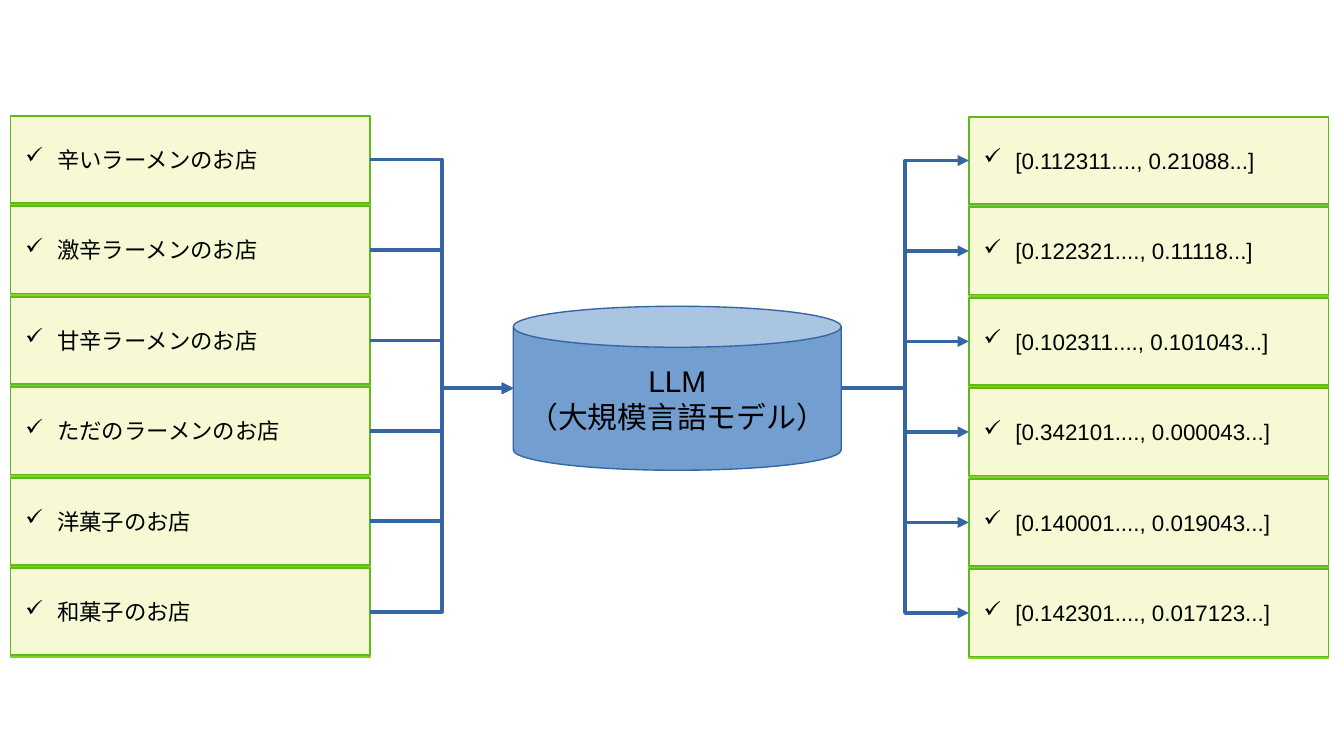
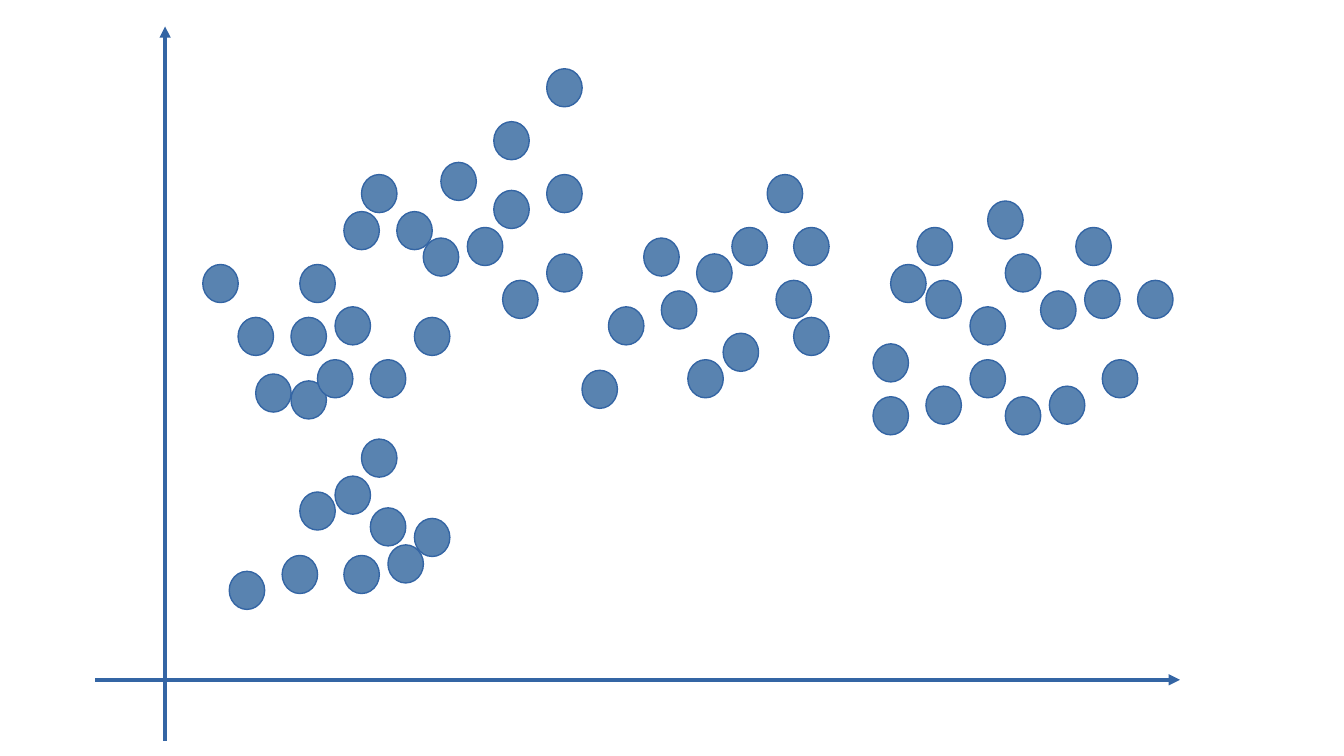
"""Build two slides: sentences embedded by an LLM, and the vectors as a scatter of points."""
from lxml import etree
from pptx import Presentation
from pptx.dml.color import RGBColor
from pptx.enum.shapes import MSO_CONNECTOR, MSO_SHAPE
from pptx.enum.text import MSO_ANCHOR, PP_ALIGN
from pptx.oxml.ns import qn
from pptx.util import Cm, Pt

RECT, CAN, OVAL = MSO_SHAPE.RECTANGLE, MSO_SHAPE.CAN, MSO_SHAPE.OVAL
ELBOW, STRAIGHT = MSO_CONNECTOR.ELBOW, MSO_CONNECTOR.STRAIGHT
MIDDLE = MSO_ANCHOR.MIDDLE
LEFT, CENTER = PP_ALIGN.LEFT, PP_ALIGN.CENTER

FONT = "Arial"
BLACK, BLUE_LINE, MODEL_BLUE, POINT_BLUE = "000000", "3465A4", "729FCF", "5983B0"
CARD_FILL, CARD_LINE, CARD_SHADOW = "F6F9D4", "5EB91E", "81D41A"
HAIRLINE = 0

SENTENCES = [
    "辛いラーメンのお店",
    "激辛ラーメンのお店",
    "甘辛ラーメンのお店",
    "ただのラーメンのお店",
    "洋菓子のお店",
    "和菓子のお店",
]
VECTORS = [
    "[0.112311...., 0.21088...]",
    "[0.122321...., 0.11118...]",
    "[0.102311...., 0.101043...]",
    "[0.342101...., 0.000043...]",
    "[0.140001...., 0.019043...]",
    "[0.142301...., 0.017123...]",
]
MODEL_LABEL = ["LLM", "（大規模言語モデル）"]

CARD_W, CARD_H, CARD_PITCH = 6.8, 1.65, 1.71
SENTENCE_LEFT, SENTENCE_TOP = 0.2, 2.19
VECTOR_LEFT, VECTOR_TOP = 18.31, 2.21
MODEL_LEFT, MODEL_TOP, MODEL_W, MODEL_H = 9.7, 5.79, 6.2, 3.1

AXES = [((3.12, 14), (3.12, 0.5)), ((1.8, 12.85), (22.3, 12.85))]
POINT_W, POINT_H, GRID_PER_CM = 0.67, 0.72, 6
CLUSTERS = {
    "left": [(27, 6), (29, 7.07), (33, 6), (33, 7.2), (34, 5), (23, 5), (36, 6.8),
             (42, 6.8), (47, 6), (38, 5.8)],
    "bottom": [(38, 9), (42, 9.6), (41, 8.3), (34, 9.3), (44, 10.3), (39, 10.5),
               (26, 10.8), (32, 10.5), (47, 9.8)],
    "right": [(122, 4.3), (123, 5.3), (114, 4.8), (105, 5.3), (99, 6.5), (104, 4.3),
              (110, 5.8), (118, 5.5), (112, 3.8), (101, 5), (110, 6.8), (129, 5.3),
              (125, 6.8), (114, 7.5), (105, 7.3), (119, 7.3), (99, 7.5)],
    "middle": [(83, 4.3), (88, 5.3), (87, 3.3), (75, 5.5), (73, 4.5), (79, 4.8),
               (90, 6), (90, 4.3), (69, 5.8), (82, 6.3), (66, 7), (78, 6.8)],
    "top": [(62, 3.3), (56, 3.6), (62, 1.3), (41, 3.3), (57, 5.3), (56, 2.3), (48, 4.5),
            (39, 4), (50, 3.07), (62, 4.8), (45, 4), (53, 4.3)],
}


def color(hex_code):
    return RGBColor.from_string(hex_code)


def add_node(parent, tag, **attributes):
    return etree.SubElement(parent, qn(tag), attributes)


def add_block(slide, kind, box, fill, line, line_width=HAIRLINE):
    block = slide.shapes.add_shape(kind, *map(Cm, box))
    block.shadow.inherit = False
    block.fill.solid()
    block.fill.fore_color.rgb = color(fill)
    block.line.color.rgb = color(line)
    block.line.width = Pt(line_width)
    return block


def write(block, lines, size, align, margin_x, margin_y):
    frame = block.text_frame
    frame.word_wrap = True
    frame.vertical_anchor = MIDDLE
    frame.margin_left = frame.margin_right = Cm(margin_x)
    frame.margin_top = frame.margin_bottom = Cm(margin_y)
    for index, text in enumerate(lines):
        paragraph = frame.add_paragraph() if index else frame.paragraphs[0]
        paragraph.alignment = align
        run = paragraph.add_run()
        run.text = text
        run.font.name = FONT
        run.font.size = Pt(size)
        run.font.color.rgb = color(BLACK)


def add_check_bullet(paragraph):
    properties = paragraph._p.get_or_add_pPr()
    properties.set("marL", str(Cm(0.6)))
    properties.set("indent", str(Cm(-0.6)))
    add_node(add_node(properties, "a:buClr"), "a:srgbClr", val=BLACK)
    add_node(properties, "a:buChar", char="✓")


def add_card(slide, left, top, text):
    card = add_block(slide, RECT, (left, top, CARD_W, CARD_H), CARD_FILL, CARD_LINE, 1)
    effects = card._element.spPr.find(qn("a:effectLst"))
    shadow = add_node(effects, "a:outerShdw", blurRad="0", dist=str(Pt(1)),
                      dir="5400000", algn="ctr", rotWithShape="0")
    add_node(shadow, "a:srgbClr", val=CARD_SHADOW)
    write(card, [text], 12, LEFT, 0.28, 0.15)
    add_check_bullet(card.text_frame.paragraphs[0])


def add_arrow(slide, kind, start, end):
    arrow = slide.shapes.add_connector(kind, *map(Cm, start + end))
    arrow.line.color.rgb = color(BLUE_LINE)
    arrow.line.width = Pt(HAIRLINE)
    add_node(arrow.line._get_or_add_ln(), "a:tailEnd", type="triangle")
    add_node(arrow._element.spPr, "a:effectLst")


def build_embedding(slide):
    model_middle = MODEL_TOP + MODEL_H / 2
    model_in = (MODEL_LEFT, model_middle)
    model_out = (MODEL_LEFT + MODEL_W, model_middle)
    model = add_block(slide, CAN, (MODEL_LEFT, MODEL_TOP, MODEL_W, MODEL_H),
                      MODEL_BLUE, BLUE_LINE)
    write(model, MODEL_LABEL, 16, CENTER, 0.25, 0.13)
    for row, (sentence, vector) in enumerate(zip(SENTENCES, VECTORS)):
        sentence_top = SENTENCE_TOP + row * CARD_PITCH
        vector_top = VECTOR_TOP + row * CARD_PITCH
        add_card(slide, SENTENCE_LEFT, sentence_top, sentence)
        add_card(slide, VECTOR_LEFT, vector_top, vector)
        sentence_out = (SENTENCE_LEFT + CARD_W, sentence_top + CARD_H / 2)
        add_arrow(slide, ELBOW, sentence_out, model_in)
        add_arrow(slide, ELBOW, model_out, (VECTOR_LEFT, vector_top + CARD_H / 2))


def build_vector_space(slide):
    for start, end in AXES:
        add_arrow(slide, STRAIGHT, start, end)
    for points in CLUSTERS.values():
        for column, top in points:
            add_block(slide, OVAL, (column / GRID_PER_CM, top, POINT_W, POINT_H),
                      POINT_BLUE, BLUE_LINE)


deck = Presentation()
deck.slide_width, deck.slide_height = Cm(25.4), Cm(14.29)
blank = deck.slide_layouts[6]
for build in (build_embedding, build_vector_space):
    build(deck.slides.add_slide(blank))
deck.save("out.pptx")
